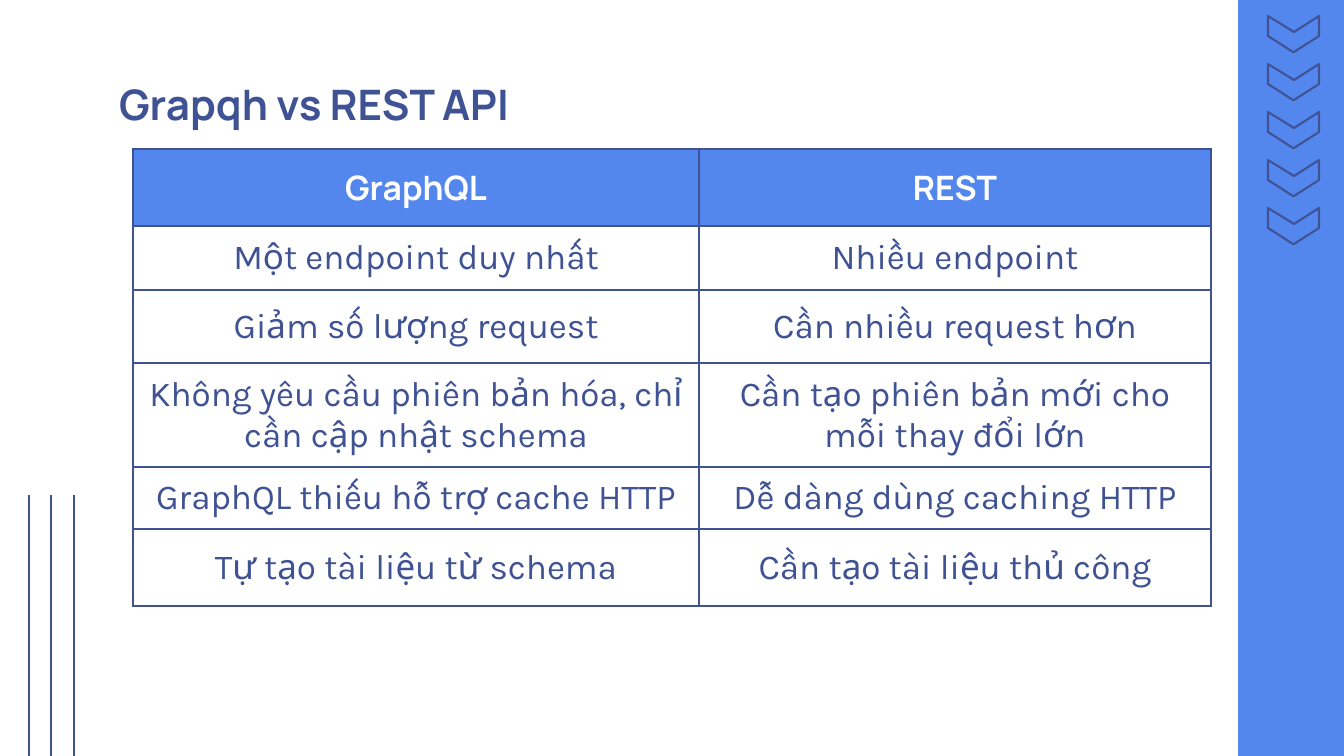
from lxml import etree
from pptx import Presentation
from pptx import util as u
from pptx.dml.color import RGBColor
from pptx.enum import shapes, text
from pptx.oxml import ns

SCALE = 914400 / 100.8
BLUE, NAVY, WHITE = "5387ED", "3F5294", "FFFFFF"
LINE_WIDTH = u.Pt(1.5)

COLUMN_WIDTHS = [566, 512]
ROW_HEIGHTS = [77, 64, 73, 102, 61, 77]
COMPARISON = [
    ("GraphQL", "REST"),
    ("Một endpoint duy nhất", "Nhiều endpoint"),
    ("Giảm số lượng request", "Cần nhiều request hơn"),
    ("Không yêu cầu phiên bản hóa, chỉ cần cập nhật schema",
     "Cần tạo phiên bản mới cho mỗi thay đổi lớn"),
    ("GraphQL thiếu hỗ trợ cache HTTP", "Dễ dàng dùng caching HTTP"),
    ("Tự tạo tài liệu từ schema", "Cần tạo tài liệu thủ công"),
]


def px(value):
    return u.Emu(round(value * SCALE))


def color(value):
    return RGBColor.from_string(value)


def paint(target, value):
    target.fill.solid()
    target.fill.fore_color.rgb = color(value)


def write(frame, content, size=25, font="Karla", ink=NAVY, bold=False,
          align=text.PP_ALIGN.LEFT):
    frame.word_wrap = True
    paragraph = frame.paragraphs[0]
    paragraph.alignment = align
    run = paragraph.add_run()
    run.text = content
    run.font.size = u.Pt(size)
    run.font.name = font
    run.font.bold = bold
    run.font.color.rgb = color(ink)


def add_sidebar(slide):
    shape = slide.shapes.add_shape(
        shapes.MSO_SHAPE.RECTANGLE, px(1238), 0, px(106), px(756))
    shape.shadow.inherit = False
    paint(shape, BLUE)
    shape.line.fill.background()


def add_chevron(group, left, top):
    builder = group.shapes.build_freeform(left, top, SCALE)
    builder.add_line_segments(
        [(left + x, top + y) for x, y in
         [(26, 16), (51, 0), (51, 20), (26, 36), (25, 36), (0, 20)]],
        close=True)
    shape = builder.convert_to_shape()
    shape.shadow.inherit = False
    shape.fill.background()
    shape.line.color.rgb = color(NAVY)
    shape.line.width = LINE_WIDTH


def add_vertical_line(slide, x, top, bottom):
    connector = slide.shapes.add_connector(
        shapes.MSO_CONNECTOR.STRAIGHT, px(x), px(top), px(x), px(bottom))
    connector.line.color.rgb = color(NAVY)
    connector.line.width = LINE_WIDTH
    etree.SubElement(connector._element.spPr, ns.qn("a:effectLst"))


def add_title(slide, content):
    box = slide.shapes.add_textbox(px(106), px(66), px(1132), px(85))
    frame = box.text_frame
    frame.margin_left = frame.margin_right = px(13)
    frame.margin_top = frame.margin_bottom = px(13)
    write(frame, content, size=30, font="Manrope", bold=True)


def add_borders(cell):
    properties = cell._tc.get_or_add_tcPr()
    for index, side in enumerate(("lnL", "lnR", "lnT", "lnB")):
        border = etree.Element(ns.qn(f"a:{side}"), w=str(LINE_WIDTH))
        fill = etree.SubElement(border, ns.qn("a:solidFill"))
        etree.SubElement(fill, ns.qn("a:srgbClr"), val=NAVY)
        properties.insert(index, border)


def fill_cell(cell, content, header):
    cell.margin_left = cell.margin_right = px(13)
    cell.margin_top = cell.margin_bottom = px(10)
    cell.vertical_anchor = text.MSO_ANCHOR.MIDDLE
    paint(cell, BLUE if header else WHITE)
    style = dict(size=24, font="Manrope", ink=WHITE, bold=True) if header else {}
    write(cell.text_frame, content, align=text.PP_ALIGN.CENTER, **style)
    add_borders(cell)


def add_comparison(slide):
    table = slide.shapes.add_table(
        len(ROW_HEIGHTS), len(COLUMN_WIDTHS), px(133), px(149),
        px(sum(COLUMN_WIDTHS)), px(sum(ROW_HEIGHTS))).table
    table.horz_banding = False
    for column, width in zip(table.columns, COLUMN_WIDTHS):
        column.width = px(width)
    for row, height in zip(table.rows, ROW_HEIGHTS):
        row.height = px(height)
    for row_index, contents in enumerate(COMPARISON):
        for column_index, content in enumerate(contents):
            fill_cell(table.cell(row_index, column_index), content,
                      header=row_index == 0)


def main():
    presentation = Presentation()
    presentation.slide_width = px(1344)
    presentation.slide_height = px(756)
    slide = presentation.slides.add_slide(presentation.slide_layouts[6])
    paint(slide.background, WHITE)
    add_sidebar(slide)
    chevrons = slide.shapes.add_group_shape()
    for index in range(5):
        add_chevron(chevrons, 1268, 16 + 48 * index)
    for x in (29, 51, 74):
        add_vertical_line(slide, x, 495, 756)
    add_title(slide, "Grapqh vs REST API")
    add_comparison(slide)
    presentation.save("out.pptx")


if __name__ == "__main__":
    main()
